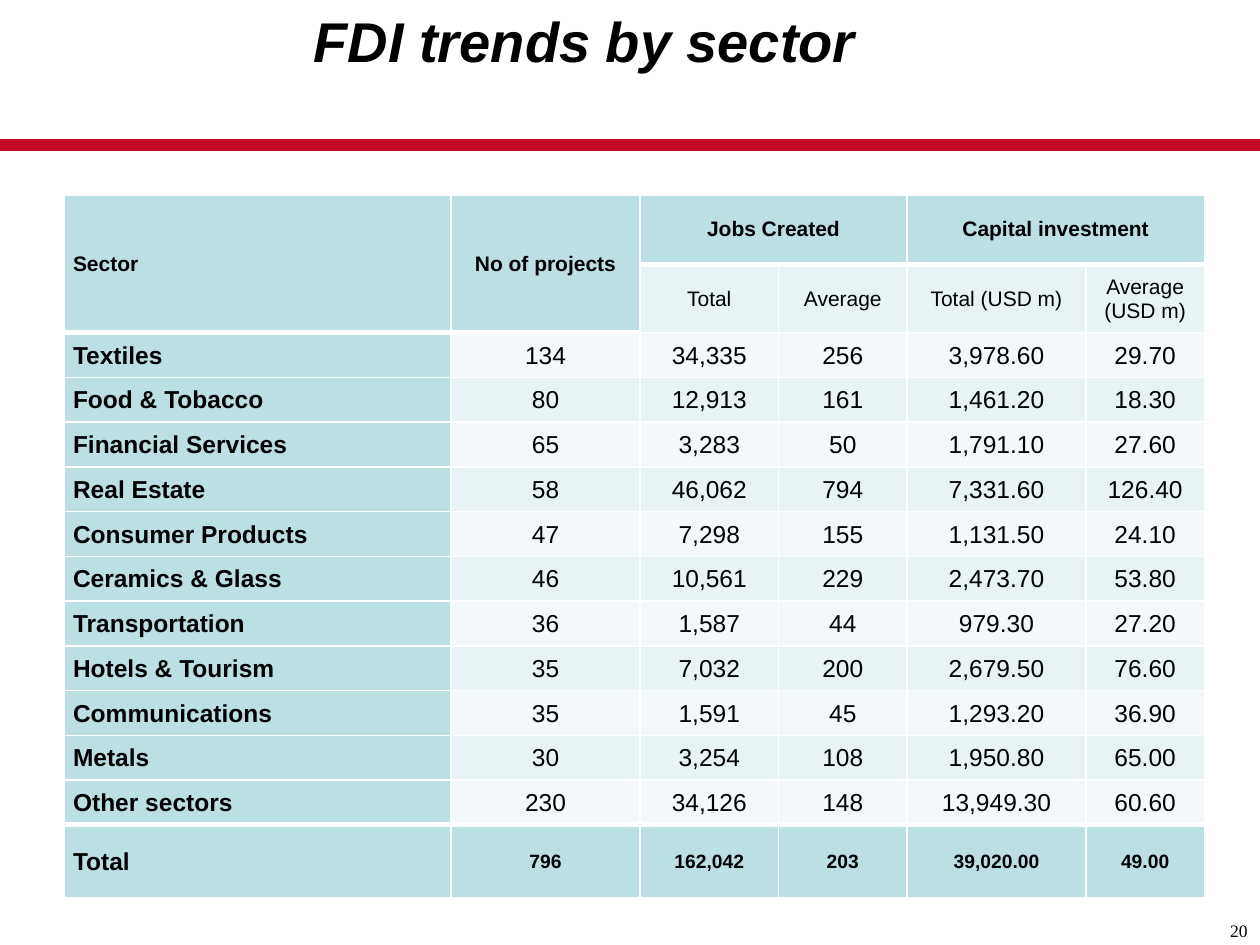
from lxml import etree
from pptx import Presentation
from pptx.dml.color import RGBColor
from pptx.enum.shapes import MSO_CONNECTOR
from pptx.enum.text import MSO_ANCHOR, PP_ALIGN
from pptx.oxml.ns import qn
from pptx.util import Inches, Pt

STRAIGHT = MSO_CONNECTOR.STRAIGHT
TOP, MIDDLE = MSO_ANCHOR.TOP, MSO_ANCHOR.MIDDLE
LEFT, CENTER, RIGHT = PP_ALIGN.LEFT, PP_ALIGN.CENTER, PP_ALIGN.RIGHT

BLACK = RGBColor(0x00, 0x00, 0x00)
WHITE = RGBColor(0xFF, 0xFF, 0xFF)
RED = RGBColor(0xC1, 0x0B, 0x25)
TEAL = RGBColor(0xBB, 0xE0, 0xE3)
PALE = RGBColor(0xE7, 0xF3, 0xF4)
FAINT = RGBColor(0xF3, 0xF9, 0xFA)

WIDE, HIGH = 10, 7.5
COLS = [3.07, 1.5, 1.1, 1.02, 1.42, 0.94]
HEADS, FOOT, TALL = [0.55, 0.54], 0.58, 5.58
SPANS = [(0, 0, 1, 0), (0, 1, 1, 1), (0, 2, 0, 3), (0, 4, 0, 5)]

ROWS = [
    ["Sector", "No of projects", "Jobs Created", "", "Capital investment", ""],
    ["", "", "Total", "Average", "Total (USD m)", "Average (USD m)"],
    ["Textiles", "134", "34,335", "256", "3,978.60", "29.70"],
    ["Food & Tobacco", "80", "12,913", "161", "1,461.20", "18.30"],
    ["Financial Services", "65", "3,283", "50", "1,791.10", "27.60"],
    ["Real Estate", "58", "46,062", "794", "7,331.60", "126.40"],
    ["Consumer Products", "47", "7,298", "155", "1,131.50", "24.10"],
    ["Ceramics & Glass", "46", "10,561", "229", "2,473.70", "53.80"],
    ["Transportation", "36", "1,587", "44", "979.30", "27.20"],
    ["Hotels & Tourism", "35", "7,032", "200", "2,679.50", "76.60"],
    ["Communications", "35", "1,591", "45", "1,293.20", "36.90"],
    ["Metals", "30", "3,254", "108", "1,950.80", "65.00"],
    ["Other sectors", "230", "34,126", "148", "13,949.30", "60.60"],
    ["Total", "796", "162,042", "203", "39,020.00", "49.00"],
]
LAST = len(ROWS) - 1


def style(para, size, align, face="Arial", bold=False, slant=False):
    para.alignment = align
    for run in para.runs:
        font = run.font
        font.name, font.size = face, Pt(size)
        font.bold, font.italic = bold, slant
        font.color.rgb = BLACK


def add_text(slide, text, box, pad, **look):
    frame = slide.shapes.add_textbox(*map(Inches, box)).text_frame
    frame.word_wrap = True
    frame.vertical_anchor = TOP
    frame.margin_left = Inches(pad)
    frame.text = text
    style(frame.paragraphs[0], **look)


def add_rule(slide, y):
    rule = slide.shapes.add_connector(
        STRAIGHT, Inches(WIDE), Inches(y), 0, Inches(y))
    rule.line.color.rgb = RED
    rule.line.width = Pt(6.5)
    etree.SubElement(rule._element.spPr, qn("a:effectLst"))


def thick(row, col):
    return row in (1, LAST) or (row == 2 and col < 2)


def add_edges(cell, row, col):
    props = cell._tc.get_or_add_tcPr()
    top = 3 if thick(row, col) else 1
    base = 3 if thick(row + 1, col) or (row == 0 and col < 2) else 1
    for side, width in zip("LRTB", (1, 1, top, base)):
        edge = etree.SubElement(
            props, qn("a:ln" + side), w=str(Pt(width)))
        fill = etree.SubElement(edge, qn("a:solidFill"))
        etree.SubElement(fill, qn("a:srgbClr"), val=str(WHITE))


def cell_fill(row, col):
    if row in (0, LAST) or col == 0 or (row == 1 and col == 1):
        return TEAL
    return PALE if row % 2 else FAINT


def cell_size(row, col):
    if row < 2:
        return 12
    return 11 if row == LAST and col else 14


def fill_cell(cell, row, col):
    add_edges(cell, row, col)
    cell.fill.solid()
    cell.fill.fore_color.rgb = cell_fill(row, col)
    cell.vertical_anchor = MIDDLE
    cell.margin_left = cell.margin_right = Inches(0.07)
    cell.margin_top = cell.margin_bottom = 0
    if not ROWS[row][col]:
        return
    cell.text = ROWS[row][col]
    para = cell.text_frame.paragraphs[0]
    group = row == 0 and col > 1
    para.line_spacing = Pt(12) if group else 1.05
    if row < 2 and not group:
        para.space_after = Pt(10)
    style(para, cell_size(row, col), CENTER if col else LEFT,
          bold=row in (0, LAST) or col == 0)


def add_grid(slide, left, top):
    body = (TALL - sum(HEADS) - FOOT) / (LAST - 2)
    highs = HEADS + [body] * (LAST - 2) + [FOOT]
    table = slide.shapes.add_table(
        len(ROWS), len(COLS), Inches(left), Inches(top),
        Inches(sum(COLS)), Inches(TALL)).table
    table.first_row = table.horz_banding = False
    for col, width in zip(table.columns, COLS):
        col.width = Inches(width)
    for row, high in zip(table.rows, highs):
        row.height = Inches(high)
    for row in range(len(ROWS)):
        for col in range(len(COLS)):
            fill_cell(table.cell(row, col), row, col)
    for r1, c1, r2, c2 in SPANS:
        table.cell(r1, c1).merge(table.cell(r2, c2))


def main():
    deck = Presentation()
    deck.slide_width, deck.slide_height = Inches(WIDE), Inches(HIGH)
    slide = deck.slides.add_slide(deck.slide_layouts[6])
    add_rule(slide, 1.15)
    add_text(slide, "FDI trends by sector", (1, 0, 7.33, 1.08), 0.05,
             size=32, align=CENTER, bold=True, slant=True)
    add_grid(slide, 0.51, 1.55)
    add_text(slide, "20", (WIDE - 0.58, HIGH - 0.25, 0.58, 0.25), 0.1,
             size=10, align=RIGHT, face="Times New Roman")
    deck.save("out.pptx")


if __name__ == "__main__":
    main()
